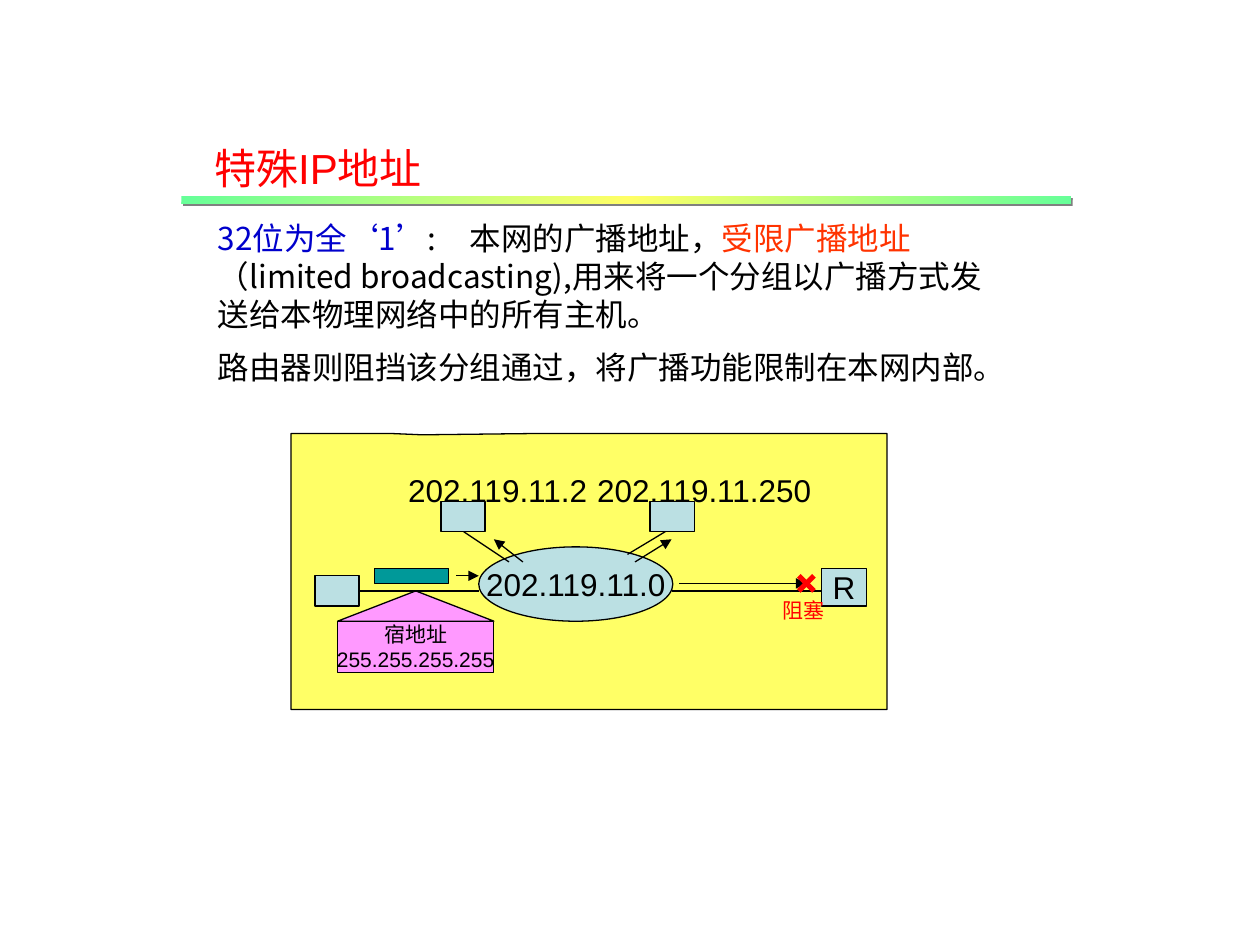
from copy import deepcopy
from dataclasses import dataclass

from lxml import etree
from pptx import Presentation
from pptx.dml.color import RGBColor
from pptx.enum.shapes import MSO_CONNECTOR, MSO_SHAPE
from pptx.enum.text import MSO_ANCHOR, MSO_AUTO_SIZE, PP_ALIGN
from pptx.oxml.ns import qn
from pptx.util import Inches, Pt

RECTANGLE, OVAL = MSO_SHAPE.RECTANGLE, MSO_SHAPE.OVAL
CALLOUT, TRIANGLE = MSO_SHAPE.RECTANGULAR_CALLOUT, MSO_SHAPE.FLOWCHART_EXTRACT
STRAIGHT = MSO_CONNECTOR.STRAIGHT
LEFT, CENTER = PP_ALIGN.LEFT, PP_ALIGN.CENTER
TOP, MIDDLE = MSO_ANCHOR.TOP, MSO_ANCHOR.MIDDLE
NO_AUTOFIT = MSO_AUTO_SIZE.NONE

LATIN_FONT, CHINESE_FONT = "Arial", "Noto Sans CJK SC"
COLORS = {
    "black": "000000", "red": "FF0000", "orange": "FF3300", "blue": "0000CC",
    "host": "BBE0E3", "network": "FFFF66", "packet": "009999",
    "label": "FF99FF", "mint": "66FF99", "shadow": "808080",
}


@dataclass
class Box:
    left: float
    top: float
    width: float
    height: float
    fill: str = "host"
    kind: MSO_SHAPE = RECTANGLE
    lines: tuple[str, ...] = ()
    size: float = 18


@dataclass
class Link:
    start: tuple[float, float]
    end: tuple[float, float]
    arrow: bool = False
    color: str = "black"
    width: float = 0.75


@dataclass
class Label:
    left: float
    top: float
    width: float
    height: float
    text: str
    size: float = 18
    color: str = "black"


def rgb(name: str) -> RGBColor:
    return RGBColor.from_string(COLORS[name])


def add_text(para, text: str, *, size: float = 18, color: str = "black",
             font: str = LATIN_FONT) -> None:
    span = para.add_run()
    span.text = text
    span.font.size = Pt(size)
    span.font.name = font
    span.font.color.rgb = rgb(color)
    east_asian = etree.SubElement(span.font._element, qn("a:ea"))
    east_asian.set("typeface", CHINESE_FONT)


def place(shape, left: float, top: float, width: float, height: float) -> None:
    shape.left, shape.top = Inches(left), Inches(top)
    shape.width, shape.height = Inches(width), Inches(height)


def set_frame(frame, *, wrap: bool = False, anchor=TOP) -> None:
    frame.auto_size = NO_AUTOFIT
    frame.word_wrap = wrap
    frame.vertical_anchor = anchor


def draw_box(page, box: Box):
    shape = page.shapes.add_shape(box.kind, Inches(box.left), Inches(box.top),
                                  Inches(box.width), Inches(box.height))
    shape.shadow.inherit = False
    shape.fill.solid()
    shape.fill.fore_color.rgb = rgb(box.fill)
    shape.line.color.rgb = rgb("black")
    shape.line.width = Pt(0.75)
    frame = shape.text_frame
    set_frame(frame, anchor=MIDDLE)
    for index, line in enumerate(box.lines):
        para = frame.add_paragraph() if index else frame.paragraphs[0]
        para.alignment = CENTER
        add_text(para, line, size=box.size)
    return shape


def draw_link(page, link: Link) -> None:
    points = [Inches(value) for value in (*link.start, *link.end)]
    connector = page.shapes.add_connector(STRAIGHT, *points)
    connector.line.color.rgb = rgb(link.color)
    connector.line.width = Pt(link.width)
    if link.arrow:
        etree.SubElement(connector.line._get_or_add_ln(), qn("a:tailEnd"), type="triangle")
    etree.SubElement(connector._element.spPr, qn("a:effectLst"))


def draw_label(page, label: Label) -> None:
    box = page.shapes.add_textbox(Inches(label.left), Inches(label.top),
                                  Inches(label.width), Inches(label.height))
    set_frame(box.text_frame)
    add_text(box.text_frame.paragraphs[0], label.text, size=label.size, color=label.color)


def draw_title(page) -> None:
    title = page.shapes.title
    place(title, 1.6, 1.08, 2.01, 0.5)
    set_frame(title.text_frame)
    para = title.text_frame.paragraphs[0]
    para.alignment = LEFT
    add_text(para, "特殊IP地址", size=24, color="red")


def draw_body(page) -> None:
    body = page.placeholders[1]
    place(body, 1.63, 1.69, 6.5, 1.43)
    frame = body.text_frame
    set_frame(frame, wrap=True)
    paragraphs = (
        (("32位为全", "blue", CHINESE_FONT), ("‘", "blue", LATIN_FONT),
         ("1", "blue", CHINESE_FONT), ("’", "blue", LATIN_FONT),
         (":\t本网的广播地址，", "black", CHINESE_FONT),
         ("受限广播地址", "orange", CHINESE_FONT),
         ("（limited broadcasting),用来将一个分组以广播方式发送给本物理网络中的所有主机。",
          "black", CHINESE_FONT)),
        (("路由器则阻挡该分组通过，将广播功能限制在本网内部。", "black", CHINESE_FONT),),
    )
    for index, spans in enumerate(paragraphs):
        para = frame.add_paragraph() if index else frame.paragraphs[0]
        para.space_before = Pt(9)
        properties = para._p.get_or_add_pPr()
        properties.set("marL", "0")
        properties.set("indent", "0")
        etree.SubElement(properties, qn("a:buNone"))
        tabs = etree.SubElement(properties, qn("a:tabLst"))
        etree.SubElement(tabs, qn("a:tab"), pos=str(Inches(2.25)), algn="l")
        for text, color, font in spans:
            add_text(para, text, color=color, font=font)


def draw_title_bar(page) -> None:
    bar = draw_box(page, Box(1.44, 1.56, 7.06, 0.06))
    bar.line.fill.background()
    bar.fill.gradient()
    bar.fill.gradient_angle = 315
    properties = bar._element.spPr
    stop_list = properties.find(f".//{qn('a:gsLst')}")
    stop_list.append(deepcopy(stop_list[0]))
    for index, (stop, color) in enumerate(zip(bar.fill.gradient_stops,
                                              ("mint", "network", "mint"))):
        stop.position = index / 2
        stop.color.rgb = rgb(color)
    shadow = etree.SubElement(properties.find(qn("a:effectLst")), qn("a:outerShdw"),
                              dist=str(Pt(1.4)), dir="2700000", algn="ctr")
    etree.SubElement(shadow, qn("a:srgbClr"), val=COLORS["shadow"])


def draw_network(page) -> None:
    area = draw_box(page, Box(2.31, 3.44, 4.73, 2.19, "network", CALLOUT))
    area.adjustments[0], area.adjustments[1] = -0.28, -0.495
    items = (
        Box(3.8, 4.34, 1.54, 0.59, kind=OVAL, lines=("202.119.11.0",)),
        *(Box(left, top, 0.35, 0.24) for left, top in ((3.5, 3.98), (5.16, 3.98))),
        Link((3.68, 4.22), (4.04, 4.46)),
        Link((4.98, 4.4), (5.28, 4.22)),
        Label(3.14, 3.69, 1.66, 0.4, "202.119.11.2"),
        Label(4.64, 3.69, 1.94, 0.4, "202.119.11.250"),
        Box(6.52, 4.51, 0.36, 0.3, lines=("R",)),
        Link((5.33, 4.69), (6.52, 4.69)),
        Box(2.97, 4.51, 0.59, 0.12, "packet"),
        Box(2.68, 4.69, 1.24, 0.24, "label", TRIANGLE),
        Box(2.68, 4.93, 1.24, 0.41, "label", lines=("宿地址", "255.255.255.255"), size=12),
        Link((3.62, 4.57), (3.8, 4.57), arrow=True),
        Link((5.04, 4.46), (5.33, 4.28), arrow=True),
        Link((4.15, 4.46), (3.92, 4.28), arrow=True),
        Box(2.5, 4.57, 0.35, 0.24),
        Link((2.85, 4.69), (3.8, 4.69)),
        Link((5.39, 4.63), (6.4, 4.63), arrow=True),
        Link((6.46, 4.57), (6.34, 4.69), color="red", width=3),
        Link((6.34, 4.57), (6.46, 4.69), color="red", width=3),
        Label(6.11, 4.69, 0.53, 0.3, "阻塞", 12, "red"),
    )
    draw = {Box: draw_box, Link: draw_link, Label: draw_label}
    for item in items:
        draw[type(item)](page, item)


def main() -> None:
    deck = Presentation()
    deck.slide_width, deck.slide_height = Inches(10), Inches(7.5)
    page = deck.slides.add_slide(deck.slide_layouts[1])
    draw_title(page)
    draw_body(page)
    draw_title_bar(page)
    draw_network(page)
    deck.save("out.pptx")


if __name__ == "__main__":
    main()
